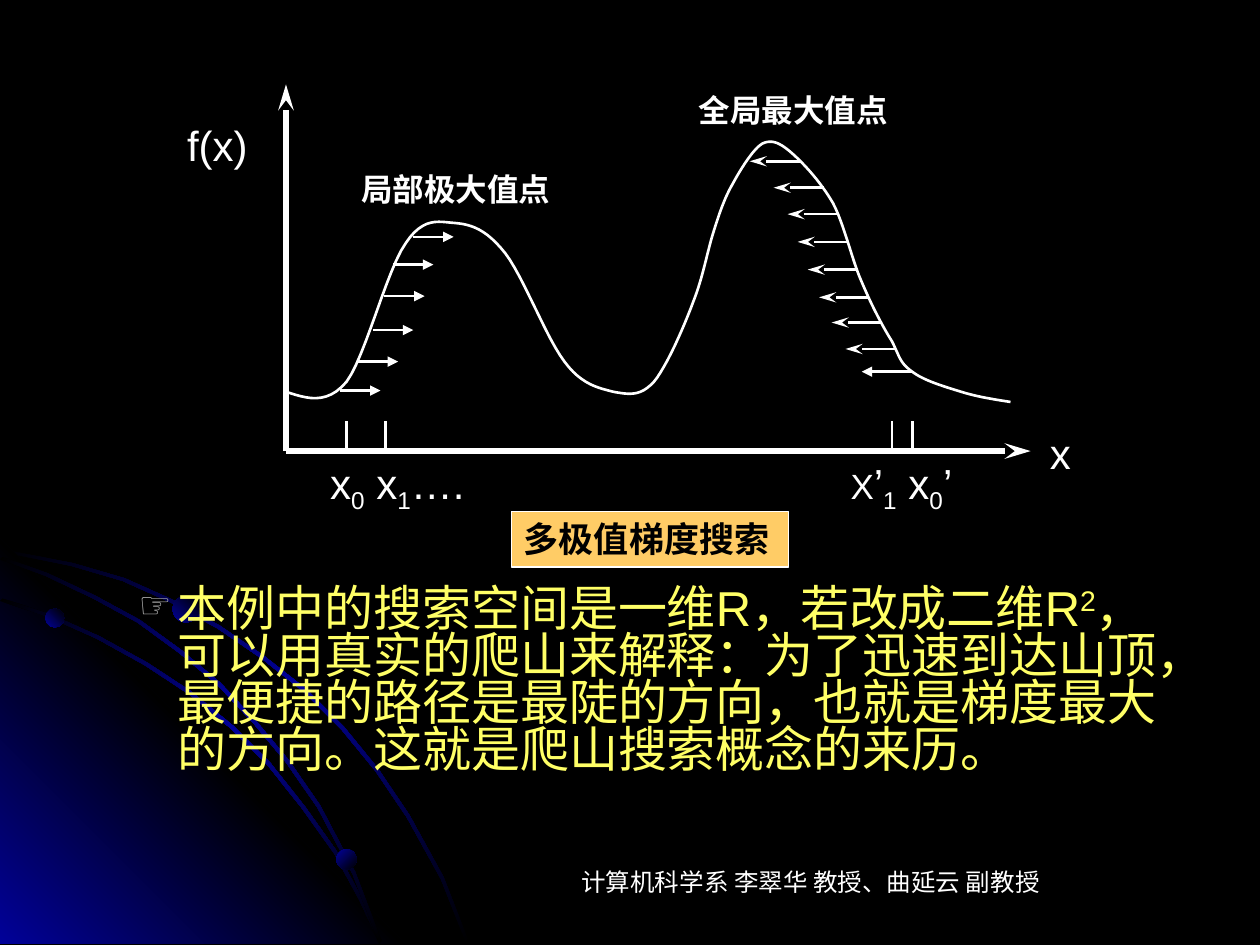
from lxml import etree
from pptx import Presentation
from pptx import util as u
from pptx.dml.color import RGBColor
from pptx.enum import shapes, text
from pptx.oxml import parse_xml
from pptx.oxml.ns import qn

COLOR = {"black": "000000", "white": "FFFFFF", "yellow": "FFFF66",
         "orange": "FFCC66", "blue": "010199", "grey": "B2B2B2"}
UNIT = 2.54
SPACE = "http://schemas.openxmlformats.org/drawingml/2006/main"

RIBBONS = [
    [(0, 4.38), (0.56, 4.49), (0.97, 4.61), (1.35, 4.78), (1.73, 4.99), (2.08, 5.23),
     (2.41, 5.49), (2.71, 5.79), (2.98, 6.12), (3.23, 6.49), (3.5, 6.98), (3.7, 7.49)],
    [(0, 4.77), (0.39, 4.9), (0.77, 5.07), (1.15, 5.28), (1.5, 5.51), (1.83, 5.78),
     (2.13, 6.08), (2.4, 6.42), (2.65, 6.77), (2.85, 7.14), (3.01, 7.49)],
    [(0, 4.44), (0.36, 4.57), (0.74, 4.75), (1.09, 4.94), (1.42, 5.18), (1.73, 5.44),
     (2.02, 5.75), (2.27, 6.05), (2.52, 6.41), (2.8, 6.94), (3.01, 7.49)],
]
RIBBON_SHIFT = 0.02
CORNER = [(0, 4.27), (3.22, 7.49), (0, 7.49)]
DOTS = [(0.36, 4.83, 0.15, 315), (2.67, 6.74, 0.16, 45), (1.37, 4.73, 0.21, 315)]

CURVE_START = (2.27, 3.11)
CURVE = [
    (2.43, 3.16, 2.59, 3.22, 2.75, 3.03), (2.9, 2.83, 3.07, 2.14, 3.22, 1.93),
    (3.36, 1.72, 3.48, 1.76, 3.61, 1.77), (3.74, 1.78, 3.86, 1.82, 4.01, 2.01),
    (4.15, 2.19, 4.34, 2.69, 4.48, 2.87), (4.62, 3.06, 4.76, 3.08, 4.87, 3.11),
    (4.99, 3.13, 5.08, 3.15, 5.19, 3.03), (5.29, 2.91, 5.43, 2.59, 5.5, 2.4),
    (5.58, 2.2, 5.61, 2.01, 5.66, 1.85), (5.71, 1.69, 5.75, 1.57, 5.82, 1.45),
    (5.88, 1.34, 5.98, 1.18, 6.05, 1.14), (6.13, 1.1, 6.2, 1.14, 6.29, 1.22),
    (6.38, 1.3, 6.51, 1.44, 6.61, 1.61), (6.7, 1.78, 6.76, 2.06, 6.84, 2.24),
    (6.92, 2.43, 7.01, 2.6, 7.08, 2.71), (7.14, 2.83, 7.14, 2.88, 7.24, 2.95),
    (7.33, 3.02, 7.5, 3.07, 7.63, 3.11), (7.76, 3.15, 7.89, 3.17, 8.02, 3.19),
]
CURVE_STEPS = 12

ORIGIN = (2.27, 3.58)
AXIS_ENDS = [(2.27, 0.67), (8.18, 3.58)]
TICKS = [2.75, 3.06, 7.08, 7.24]
TICK_TOP = 3.34
RIGHT_STEPS = [(2.7, 3.1), (2.84, 2.87), (2.96, 2.62), (3.05, 2.35), (3.12, 2.1), (3.28, 1.88)]
LEFT_STEPS = [(7.24, 2.95), (7.11, 2.77), (7, 2.56), (6.9, 2.36), (6.81, 2.14),
              (6.73, 1.92), (6.65, 1.7), (6.54, 1.49), (6.35, 1.28)]
HEAD_LENGTH = {"stealth": "lg", "triangle": "med"}

LABELS = [
    ("f(x)", (1.25, 0.9, 0.95, 0.5), 24, False, "Arial"),
    ("x", (8.02, 3.34, 0.79, 0.5), 24, False, "Arial"),
    ("局部极大值点", (2.67, 1.3, 1.89, 0.4), 18, True, "Arial"),
    ("全局最大值点", (5.35, 0.67, 1.89, 0.4), 18, True, "Arial"),
    ("计算机科学系 李翠华 教授、曲延云 副教授", (3.4, 6.83, 6.07, 0.5), 14, False, "Times New Roman"),
]
POINT_NAMES = [("x", 24, 0), ("0", 24, -25), (" x", 24, 0), ("1", 24, -25), ("….\t", 24, 0),
               ("X", 20, 0), ("’", 24, 0), ("1", 24, -25), (" x", 24, 0), ("0", 24, -25),
               ("’", 24, 0)]
CAPTION = "多极值梯度搜索"
EXPLANATION = [
    ("本例中的搜索空间是一维R，若改成二维R", 28, 0), ("2", 28, 30),
    ("，可以用真实的爬山来解释：为了迅速到达山顶，最便捷的路径是最陡的方向，"
     "也就是梯度最大的方向。这就是爬山搜索概念的来历。", 28, 0),
]


def size(value):
    return u.Cm(value * UNIT)


def rgb(name):
    return RGBColor.from_string(COLOR[name])


def add_outline(page, points, close):
    places = [(size(x), size(y)) for x, y in points]
    builder = page.shapes.build_freeform(*places[0], scale=1.0)
    builder.add_line_segments(places[1:], close=close)
    shape = builder.convert_to_shape()
    shape.shadow.inherit = False
    return shape


def fill_gradient(shape, names, angle):
    shape.line.fill.background()
    shape.fill.background()
    stops = "".join(
        f'<a:gs pos="{100000 * i // (len(names) - 1)}"><a:srgbClr val="{COLOR[name]}"/></a:gs>'
        for i, name in enumerate(names))
    old = shape.fill._xPr.find(qn("a:noFill"))
    old.getparent().replace(old, parse_xml(
        f'<a:gradFill xmlns:a="{SPACE}"><a:gsLst>{stops}</a:gsLst>'
        f'<a:lin ang="{angle * 60000}" scaled="0"/></a:gradFill>'))


def add_line(page, start, end, width=1.5, head=None):
    line = page.shapes.add_connector(
        shapes.MSO_CONNECTOR.STRAIGHT, *map(size, start), *map(size, end))
    line.line.color.rgb = rgb("white")
    line.line.width = u.Pt(width)
    if head:
        etree.SubElement(line.line._get_or_add_ln(), qn("a:tailEnd"),
                         type=head, w="med", len=HEAD_LENGTH[head])
    etree.SubElement(line._element.spPr, qn("a:effectLst"))


def add_span(para, words, points, color, bold=False, font="Arial", baseline=0):
    span = para.add_run()
    span.text = words
    span.font.size = u.Pt(points)
    span.font.bold = bold
    span.font.name = font
    span.font.color.rgb = rgb(color)
    if baseline:
        span.font._element.set("baseline", str(baseline * 1000))


def add_box(page, place):
    box = page.shapes.add_textbox(*map(size, place))
    box.text_frame.word_wrap = True
    return box


def draw_background(page):
    page.background.fill.solid()
    page.background.fill.fore_color.rgb = rgb("black")
    for i, edge in enumerate(RIBBONS):
        far_edge = [(x + RIBBON_SHIFT, y - RIBBON_SHIFT) for x, y in reversed(edge)]
        fill_gradient(add_outline(page, edge + far_edge, True), ["black", "blue", "black"], 45)
        if i == 0:
            fill_gradient(add_outline(page, CORNER, True), ["blue", "black", "blue"], 315)
    for x, y, across, angle in DOTS:
        dot = page.shapes.add_shape(
            shapes.MSO_SHAPE.OVAL, size(x), size(y), size(across), size(across))
        dot.shadow.inherit = False
        fill_gradient(dot, ["blue", "black"], angle)


def curve_points():
    points = [CURVE_START]
    for ax, ay, bx, by, cx, cy in CURVE:
        px, py = points[-1]
        for step in range(1, CURVE_STEPS + 1):
            t = step / CURVE_STEPS
            s = 1 - t
            weights = (s ** 3, 3 * s * s * t, 3 * s * t * t, t ** 3)
            points.append(tuple(sum(w * v for w, v in zip(weights, values))
                                for values in ((px, ax, bx, cx), (py, ay, by, cy))))
    return points


def draw_graph(page):
    for end in AXIS_ENDS:
        add_line(page, ORIGIN, end, 3, "stealth")
    for x in TICKS:
        add_line(page, (x, ORIGIN[1]), (x, TICK_TOP))
    curve = add_outline(page, curve_points(), False)
    curve.fill.background()
    curve.line.color.rgb = rgb("white")
    curve.line.width = u.Pt(1.5)
    for x, y in RIGHT_STEPS:
        add_line(page, (x, y), (x + 0.32, y), head="triangle")
    for i, (x, y) in enumerate(LEFT_STEPS):
        add_line(page, (x, y), (x - 0.4, y), head="stealth" if i else "triangle")


def write_labels(page):
    for words, place, points, bold, font in LABELS:
        para = add_box(page, place).text_frame.paragraphs[0]
        para.alignment = text.PP_ALIGN.CENTER
        add_span(para, words, points, "white", bold, font)

    names = add_box(page, (2.43, 3.58, 5.51, 0.56))
    names.text_frame.margin_left = size(0.19)
    para = names.text_frame.paragraphs[0]
    tabs = etree.SubElement(para._p.get_or_add_pPr(), qn("a:tabLst"))
    etree.SubElement(tabs, qn("a:tab"), pos=str(size(4.13)), algn="l")
    for words, points, baseline in POINT_NAMES:
        add_span(para, words, points, "white", baseline=baseline)

    caption = page.shapes.add_shape(
        shapes.MSO_SHAPE.RECTANGLE, *map(size, (4.06, 4.06, 2.2, 0.44)))
    caption.shadow.inherit = False
    caption.fill.solid()
    caption.fill.fore_color.rgb = rgb("orange")
    caption.line.color.rgb = rgb("white")
    caption.line.width = u.Pt(0.75)
    caption.text_frame.vertical_anchor = text.MSO_ANCHOR.TOP
    para = caption.text_frame.paragraphs[0]
    para.alignment = text.PP_ALIGN.LEFT
    add_span(para, CAPTION, 20, "black", True)


def write_explanation(page):
    box = page.placeholders[1]
    page.shapes._spTree.append(box._element)
    box.left, box.top, box.width, box.height = map(size, (0.5, 4.62, 9, 1.65))
    box.text_frame.auto_size = text.MSO_AUTO_SIZE.NONE
    para = box.text_frame.paragraphs[0]
    layout = para._p.get_or_add_pPr()
    layout.set("marL", str(size(0.81)))
    layout.set("indent", str(-size(0.31)))
    tint = etree.SubElement(layout, qn("a:buClr"))
    etree.SubElement(tint, qn("a:srgbClr"), val=COLOR["grey"])
    etree.SubElement(layout, qn("a:buSzPct"), val="75000")
    etree.SubElement(layout, qn("a:buChar"), char="☞")
    para.line_spacing = 0.8
    para.space_before = u.Pt(0)
    for words, points, baseline in EXPLANATION:
        add_span(para, words, points, "yellow", baseline=baseline)


def main():
    deck = Presentation()
    deck.slide_width, deck.slide_height = size(10), size(7.5)
    page = deck.slides.add_slide(deck.slide_layouts[1])
    title = page.shapes.title._element
    title.getparent().remove(title)
    draw_background(page)
    write_explanation(page)
    draw_graph(page)
    write_labels(page)
    deck.save("out.pptx")


if __name__ == "__main__":
    main()
